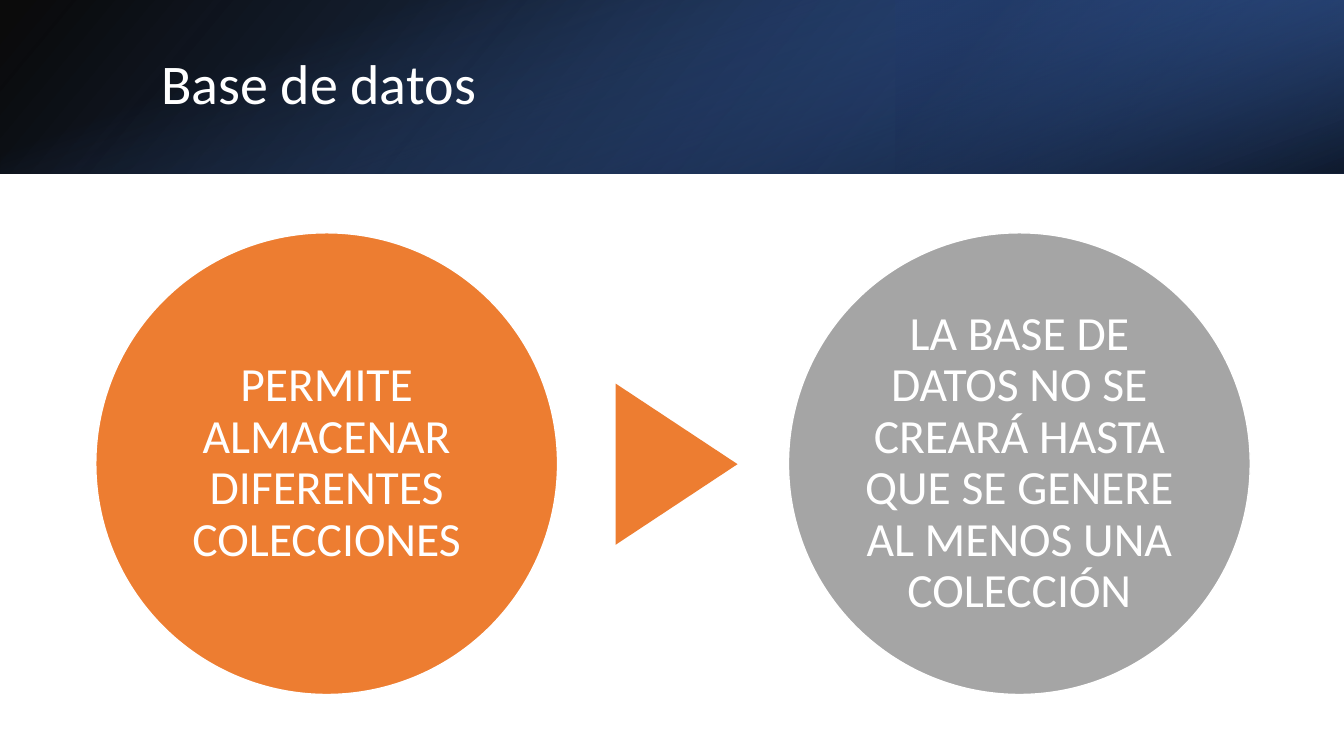
from dataclasses import dataclass

from pptx import Presentation
from pptx.dml.color import RGBColor
from pptx.enum.shapes import MSO_SHAPE
from pptx.enum.text import MSO_ANCHOR, PP_ALIGN
from pptx.oxml import parse_xml
from pptx.oxml.ns import nsdecls, qn
from pptx.shapes.autoshape import Shape
from pptx.slide import Slide
from pptx.text.text import TextFrame
from pptx.util import Inches, Pt

RECTANGLE = MSO_SHAPE.RECTANGLE
OVAL = MSO_SHAPE.OVAL
TRIANGLE = MSO_SHAPE.ISOSCELES_TRIANGLE
MIDDLE = MSO_ANCHOR.MIDDLE
LEFT = PP_ALIGN.LEFT
CENTER = PP_ALIGN.CENTER

WHITE = RGBColor(0xFF, 0xFF, 0xFF)
BLACK = RGBColor(0x00, 0x00, 0x00)
BLUE = RGBColor(0x44, 0x72, 0xC4)
DEEP_BLUE = RGBColor(0x2F, 0x55, 0x97)
NAVY = RGBColor(0x20, 0x38, 0x64)
ORANGE = RGBColor(0xED, 0x7D, 0x31)
GRAY = RGBColor(0xA5, 0xA5, 0xA5)

FONT = "Calibri"
SLIDE_WIDTH = 13.33
SLIDE_HEIGHT = 7.5
BANNER_HEIGHT = 1.72
CIRCLE_TOP = 2.31
CIRCLE_SIZE = 4.58


@dataclass(frozen=True)
class Stop:
    position: int
    color: RGBColor
    opacity: int


@dataclass(frozen=True)
class BannerLayer:
    box: tuple[float, float, float, float]
    rotation: int
    flipped: bool
    angle: int
    stops: tuple[Stop, Stop]


@dataclass(frozen=True)
class Idea:
    left: float
    color: RGBColor
    text: str


BANNER = (
    BannerLayer((0, 0, SLIDE_WIDTH, BANNER_HEIGHT), 0, True, 140,
                (Stop(0, BLACK, 96), Stop(100, DEEP_BLUE, 100))),
    BannerLayer((SLIDE_WIDTH * 2 / 3, 0, SLIDE_WIDTH / 3, BANNER_HEIGHT), 180, True, 320,
                (Stop(19, NAVY, 68), Stop(100, BLUE, 79))),
    BannerLayer(((SLIDE_WIDTH - BANNER_HEIGHT) / 2, (BANNER_HEIGHT - SLIDE_WIDTH) / 2,
                 BANNER_HEIGHT, SLIDE_WIDTH), 90, False, 340,
                (Stop(23, BLUE, 0), Stop(99, BLACK, 74))),
)

IDEAS = (
    Idea(0.95, ORANGE, "PERMITE ALMACENAR DIFERENTES COLECCIONES"),
    Idea(7.82, GRAY, "LA BASE DE DATOS NO SE CREARÁ HASTA QUE SE GENERE "
                     "AL MENOS UNA COLECCIÓN"),
)


def add_plain_shape(slide: Slide, kind: MSO_SHAPE,
                    box: tuple[float, float, float, float], rotation: int = 0) -> Shape:
    shape = slide.shapes.add_shape(kind, *(Inches(length) for length in box))
    shape.shadow.inherit = False
    shape.line.fill.background()
    shape.rotation = rotation
    return shape


def add_banner_layer(slide: Slide, layer: BannerLayer) -> None:
    shape = add_plain_shape(slide, RECTANGLE, layer.box, layer.rotation)
    shape.fill.gradient()
    properties = shape._element.spPr
    if layer.flipped:
        properties.xfrm.set("flipH", "1")
    stops = "".join(
        f'<a:gs pos="{stop.position * 1000}"><a:srgbClr val="{stop.color}">'
        f'<a:alpha val="{stop.opacity * 1000}"/></a:srgbClr></a:gs>'
        for stop in layer.stops
    )
    gradient = parse_xml(
        f'<a:gradFill {nsdecls("a")} rotWithShape="1"><a:gsLst>{stops}</a:gsLst>'
        f'<a:lin ang="{layer.angle * 60000}" scaled="0"/></a:gradFill>'
    )
    properties.replace(properties.find(qn("a:gradFill")), gradient)


def write_text(frame: TextFrame, text: str, size: int, alignment: PP_ALIGN,
               margin: float) -> None:
    side = Inches(margin)
    frame_format = {
        "word_wrap": True,
        "vertical_anchor": MIDDLE,
        "margin_left": side,
        "margin_right": side,
        "margin_top": Inches(0.05),
        "margin_bottom": Inches(0.05),
    }
    for name, value in frame_format.items():
        setattr(frame, name, value)
    paragraph = frame.paragraphs[0]
    paragraph.alignment = alignment
    paragraph.line_spacing = 0.9
    run = paragraph.add_run()
    run.text = text
    run.font.name = FONT
    run.font.size = Pt(size)
    run.font.color.rgb = WHITE


def add_title(slide: Slide, text: str) -> None:
    title = slide.shapes.add_textbox(Inches(1.5), Inches(0.38), Inches(10.98), Inches(0.96))
    write_text(title.text_frame, text, 40, LEFT, 0.1)


def add_idea(slide: Slide, idea: Idea) -> None:
    circle = add_plain_shape(slide, OVAL, (idea.left, CIRCLE_TOP, CIRCLE_SIZE, CIRCLE_SIZE))
    circle.fill.solid()
    circle.fill.fore_color.rgb = idea.color
    circle.line.color.rgb = WHITE
    circle.line.width = Pt(1)
    write_text(circle.text_frame, idea.text, 34, CENTER, 0.05)


def add_arrow(slide: Slide) -> None:
    arrow = add_plain_shape(slide, TRIANGLE, (5.91, 4, 1.6, 1.21), 90)
    arrow.fill.solid()
    arrow.fill.fore_color.rgb = ORANGE


def main() -> None:
    presentation = Presentation()
    presentation.slide_width = Inches(SLIDE_WIDTH)
    presentation.slide_height = Inches(SLIDE_HEIGHT)
    slide = presentation.slides.add_slide(presentation.slide_layouts[6])
    for layer in BANNER:
        add_banner_layer(slide, layer)
    add_title(slide, "Base de datos")
    for idea in IDEAS:
        add_idea(slide, idea)
    add_arrow(slide)
    presentation.save("out.pptx")


if __name__ == "__main__":
    main()
